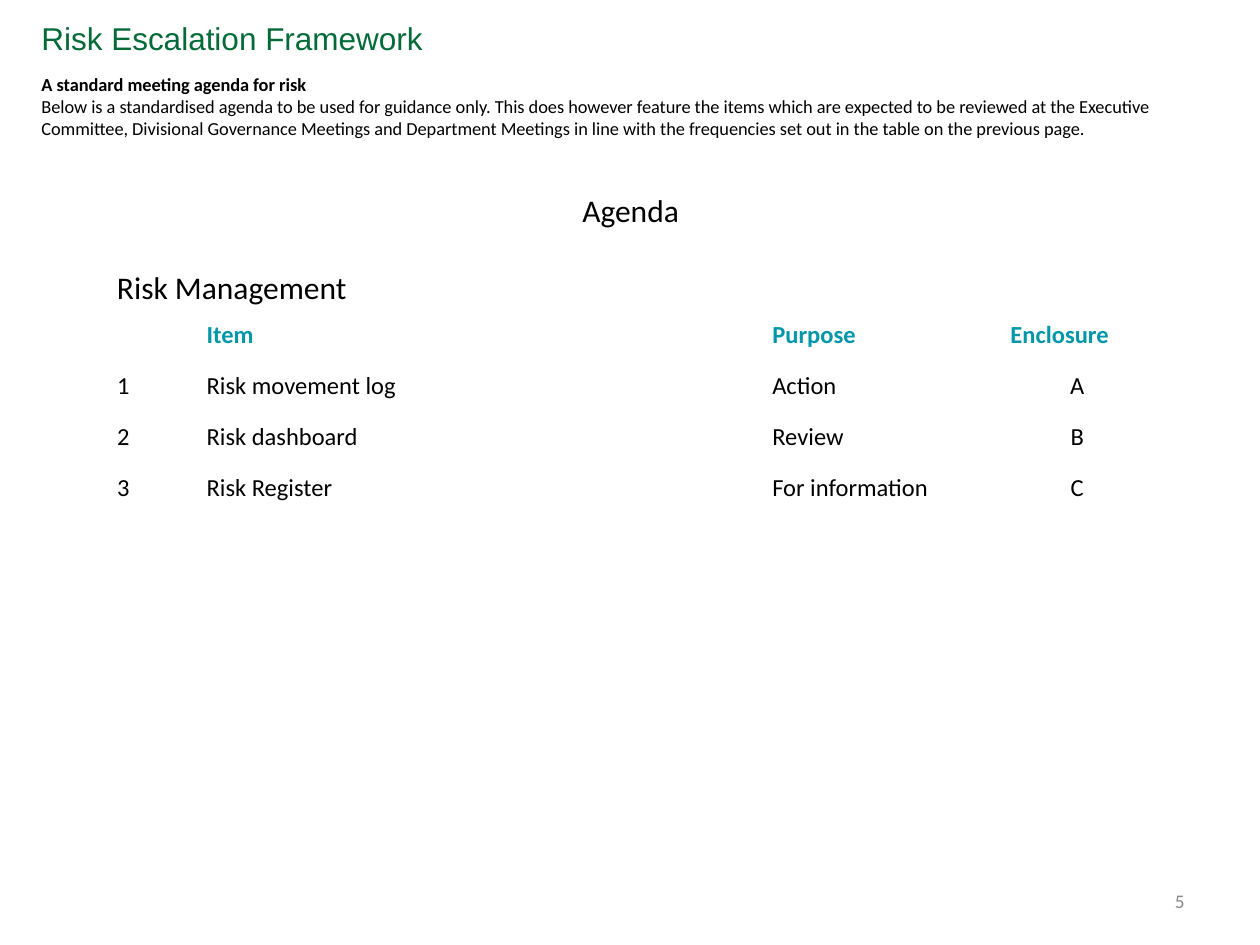
from lxml.etree import SubElement
from pptx import Presentation
from pptx.dml.color import RGBColor
from pptx.enum.text import MSO_ANCHOR, PP_ALIGN
from pptx.oxml.ns import qn
from pptx.util import Inches, Pt

GREEN = RGBColor(0x04, 0x6A, 0x38)
TEAL = RGBColor(0x00, 0x97, 0xA9)
BLACK = RGBColor(0x00, 0x00, 0x00)
GREY = RGBColor(0x89, 0x89, 0x89)
WHITE = RGBColor(0xFF, 0xFF, 0xFF)

# Page grid, in inches
WIDTH, HEIGHT = 10, 7.5
HEADING_LEFT = 0.23
AGENDA_LEFT, AGENDA_WIDTH = 0.83, 8.35
COLUMN_WIDTHS = [0.71, 4.49, 1.89, 1.26]
ROW_COUNT, ROW_HEIGHT = 7, 0.405

INTRODUCTION = (
    "Below is a standardised agenda to be used for guidance only. This does "
    "however feature the items which are expected to be reviewed at the "
    "Executive Committee, Divisional Governance Meetings and Department "
    "Meetings in line with the frequencies set out in the table on the "
    "previous page."
)
AGENDA_ROWS = [
    ["", "Item", "Purpose", "Enclosure"],
    ["1", "Risk movement log", "Action", "A"],
    ["2", "Risk dashboard", "Review", "B"],
    ["3", "Risk Register", "For information", "C"],
]


def write(paragraph, text, size, color=BLACK, font="Calibri", bold=False,
          align=PP_ALIGN.LEFT, before=0):
    """Put formatted text into a paragraph."""
    paragraph.alignment = align
    paragraph.space_before = Pt(before)
    run = paragraph.add_run()
    run.text = text
    run.font.name = font
    run.font.size = Pt(size)
    run.font.bold = bold
    run.font.color.rgb = color


def add_text(slide, left, top, width, height, paragraphs, anchor=MSO_ANCHOR.TOP):
    """Add a wrapping text box; each paragraph is a dict of write() arguments."""
    box = slide.shapes.add_textbox(
        Inches(left), Inches(top), Inches(width), Inches(height))
    frame = box.text_frame
    frame.word_wrap = True
    frame.vertical_anchor = anchor
    for index, content in enumerate(paragraphs):
        paragraph = frame.add_paragraph() if index else frame.paragraphs[0]
        write(paragraph, **content)


def set_borders(cell, color, bottom_width):
    """Draw 1 pt cell borders with a bottom border of its own width."""
    properties = cell._tc.get_or_add_tcPr()
    for side, width in (("L", 1), ("R", 1), ("T", 1), ("B", bottom_width)):
        line = SubElement(properties, qn(f"a:ln{side}"), w=str(Pt(width)))
        fill = SubElement(line, qn("a:solidFill"))
        SubElement(fill, qn("a:srgbClr"), val=str(color))


def add_agenda_table(slide, left, top):
    """Add the agenda items, with spare empty rows below them."""
    table = slide.shapes.add_table(
        ROW_COUNT, len(COLUMN_WIDTHS), Inches(left), Inches(top),
        Inches(sum(COLUMN_WIDTHS)), Inches(ROW_COUNT * ROW_HEIGHT)).table
    for column, width in zip(table.columns, COLUMN_WIDTHS):
        column.width = Inches(width)
    for row_index, row in enumerate(table.rows):
        row.height = Inches(ROW_HEIGHT)
        header = row_index == 0
        for cell in row.cells:
            set_borders(cell, WHITE, 3 if header else 1)
            cell.fill.solid()
            cell.fill.fore_color.rgb = WHITE

    for row_index, texts in enumerate(AGENDA_ROWS):
        header = row_index == 0
        for column_index, text in enumerate(texts):
            if not text:
                continue
            centred = not header and column_index == len(texts) - 1
            write(table.cell(row_index, column_index).text_frame.paragraphs[0],
                  text, 14, color=TEAL if header else BLACK, bold=header,
                  align=PP_ALIGN.CENTER if centred else PP_ALIGN.LEFT)


def main():
    presentation = Presentation()
    presentation.slide_width = Inches(WIDTH)
    presentation.slide_height = Inches(HEIGHT)
    slide = presentation.slides.add_slide(presentation.slide_layouts[6])

    # Title and introduction
    add_text(slide, HEADING_LEFT, 0.1, 5.32, 0.4, [
        dict(text="Risk Escalation Framework", size=18, color=GREEN, font="Arial")])
    add_text(slide, HEADING_LEFT, 0.53, 9.18, 0.63, [
        dict(text="A standard meeting agenda for risk", size=10.5, bold=True),
        dict(text=INTRODUCTION, size=10.5)])

    # Agenda headings and items
    add_text(slide, AGENDA_LEFT, 1.47, AGENDA_WIDTH, 3.13, [
        dict(text="Agenda", size=18, align=PP_ALIGN.CENTER),
        dict(text="Risk Management", size=18, before=22)])
    add_agenda_table(slide, AGENDA_LEFT, 2.49)

    # Page number
    add_text(slide, 7.17, 6.95, 2.33, 0.4, [
        dict(text="5", size=11, color=GREY, align=PP_ALIGN.RIGHT)],
        anchor=MSO_ANCHOR.MIDDLE)

    presentation.save("out.pptx")


main()
